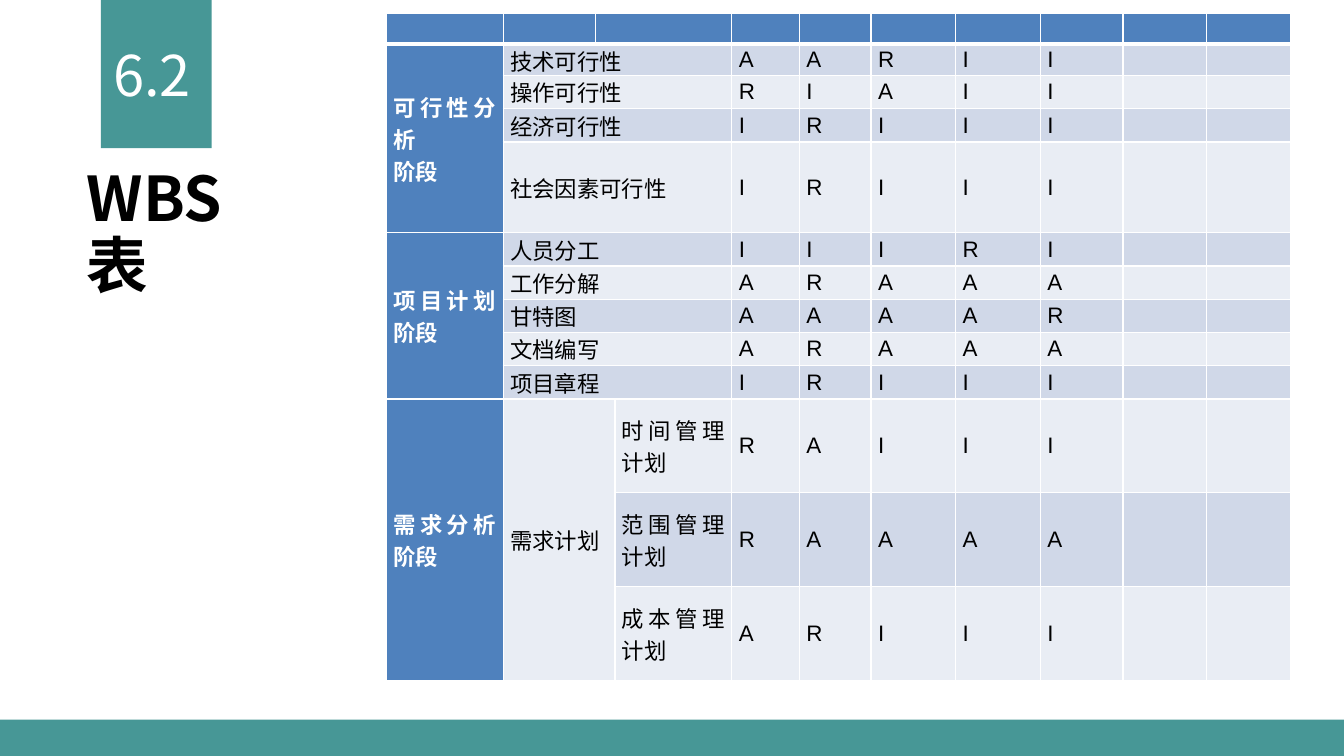
from lxml.etree import SubElement
from pptx import Presentation
from pptx.dml.color import RGBColor
from pptx.enum.shapes import MSO_SHAPE
from pptx.enum.text import MSO_ANCHOR, MSO_AUTO_SIZE, PP_ALIGN
from pptx.oxml.ns import qn
from pptx.util import Inches, Pt

COLORS = {
    "teal": "479796",
    "header": "4F81BD",
    "odd_row": "D0D8E8",
    "even_row": "E9EDF4",
    "white": "FFFFFF",
    "black": "000000",
}
CJK_FONT = "Noto Sans CJK SC"

COLUMN_WIDTHS = [1.16, 0.92, 0.19, 1.16, 0.67, 0.71, 0.84, 0.84, 0.82, 0.83, 0.83]
ROW_HEIGHTS = [0.31, 0.31, 0.33, 0.33, 0.9] + [0.33] * 5 + [0.93] * 3
FIRST_RATING_COLUMN = 4

# Phase, subgroup of its tasks (if any), tasks with the rating of each member
PHASES = [
    (["可行性分析", "阶段"], None, [
        ("技术可行性", "AARII"),
        ("操作可行性", "RIAII"),
        ("经济可行性", "IRIII"),
        ("社会因素可行性", "IRIII"),
    ]),
    (["项目计划阶段"], None, [
        ("人员分工", "IIIRI"),
        ("工作分解", "ARAAA"),
        ("甘特图", "AAAAR"),
        ("文档编写", "ARAAA"),
        ("项目章程", "IRIII"),
    ]),
    (["需求分析阶段"], "需求计划", [
        ("时间管理计划", "RAIII"),
        ("范围管理计划", "RAAAA"),
        ("成本管理计划", "ARIII"),
    ]),
]


def rgb(color):
    return RGBColor.from_string(COLORS[color])


def write_text(frame, lines, size=16, font="Arial", east_asian=CJK_FONT,
               color="black", bold=False, align=PP_ALIGN.JUSTIFY, spacing=None):
    for index, line in enumerate(lines):
        paragraph = frame.paragraphs[0] if index == 0 else frame.add_paragraph()
        paragraph.alignment = align
        if spacing:
            paragraph.line_spacing = spacing
        run = paragraph.add_run()
        run.text = line
        run.font.size = Pt(size)
        run.font.name = font
        run.font.bold = bold
        run.font.color.rgb = rgb(color)
        SubElement(run.font._element, qn("a:ea"), typeface=east_asian)


def add_block(slide, left, top, width, height):
    block = slide.shapes.add_shape(
        MSO_SHAPE.RECTANGLE, Inches(left), Inches(top), Inches(width), Inches(height))
    block.shadow.inherit = False
    block.fill.solid()
    block.fill.fore_color.rgb = rgb("teal")
    block.line.fill.background()


def add_section_number(slide, number):
    box = slide.shapes.add_textbox(Inches(0.96), Inches(0.35), Inches(1.1), Inches(0.77))
    box.text_frame.word_wrap = True
    write_text(box.text_frame, [number], size=40, font="Noto Sans CJK KR",
               east_asian="Noto Sans CJK KR", color="white", align=PP_ALIGN.CENTER)


def format_title(title, text):
    title.left, title.top = Inches(0.76), Inches(1.62)
    title.width, title.height = Inches(1.81), Inches(0.84)
    frame = title.text_frame
    frame.word_wrap = True
    frame.auto_size = MSO_AUTO_SIZE.NONE
    frame.vertical_anchor = MSO_ANCHOR.TOP
    write_text(frame, [text], size=44, font=CJK_FONT, bold=True,
               align=PP_ALIGN.LEFT, spacing=0.9)


def style_cell(cell, color, top=1, bottom=1):
    """Set margins, fill and white borders; top and bottom are widths in points."""
    cell.margin_left = cell.margin_right = Inches(0.07)
    cell.margin_top = cell.margin_bottom = 0
    cell.vertical_anchor = MSO_ANCHOR.MIDDLE
    properties = cell._tc.get_or_add_tcPr()
    for side, width in (("L", 1), ("R", 1), ("T", top), ("B", bottom)):
        line = SubElement(properties, qn(f"a:ln{side}"), w=str(Pt(width)))
        line_fill = SubElement(line, qn("a:solidFill"))
        SubElement(line_fill, qn("a:srgbClr"), val=COLORS["white"])
    cell.fill.solid()
    cell.fill.fore_color.rgb = rgb(color)


def style_grid(table):
    for row in range(len(ROW_HEIGHTS)):
        band = "odd_row" if row % 2 else "even_row"
        for column in range(len(COLUMN_WIDTHS)):
            color = "header" if row == 0 or column == 0 else band
            style_cell(table.cell(row, column), color,
                       top=3 if row == 1 else 1, bottom=3 if row == 0 else 1)


def fill_phase(table, first_row, phase, subgroup, tasks):
    last_row = first_row + len(tasks) - 1
    phase_cell = table.cell(first_row, 0)
    phase_cell.merge(table.cell(last_row, 0))
    write_text(phase_cell.text_frame, phase, color="white", bold=True)
    if subgroup:
        subgroup_cell = table.cell(first_row, 1)
        subgroup_cell.merge(table.cell(last_row, 2))
        write_text(subgroup_cell.text_frame, [subgroup])
    for row, (task, ratings) in enumerate(tasks, first_row):
        task_cell = table.cell(row, 3 if subgroup else 1)
        if not subgroup:
            task_cell.merge(table.cell(row, 3))
        write_text(task_cell.text_frame, [task])
        for column, rating in enumerate(ratings, FIRST_RATING_COLUMN):
            write_text(table.cell(row, column).text_frame, [rating])


def add_wbs_table(slide):
    table = slide.shapes.add_table(
        len(ROW_HEIGHTS), len(COLUMN_WIDTHS), Inches(3.83), Inches(0.13),
        Inches(sum(COLUMN_WIDTHS)), Inches(sum(ROW_HEIGHTS))).table
    table.first_row = table.horz_banding = False
    for column, width in zip(table.columns, COLUMN_WIDTHS):
        column.width = Inches(width)
    for row, height in zip(table.rows, ROW_HEIGHTS):
        row.height = Inches(height)
    style_grid(table)
    table.cell(0, 2).merge(table.cell(0, 3))
    first_row = 1
    for phase, subgroup, tasks in PHASES:
        fill_phase(table, first_row, phase, subgroup, tasks)
        first_row += len(tasks)


def main():
    presentation = Presentation()
    presentation.slide_width, presentation.slide_height = Inches(13.33), Inches(7.5)
    slide = presentation.slides.add_slide(presentation.slide_layouts[5])
    add_block(slide, 1, 0, 1.1, 1.47)
    add_section_number(slide, "6.2")
    format_title(slide.shapes.title, "WBS表")
    add_block(slide, 0, 7.14, 13.33, 0.36)
    add_wbs_table(slide)
    presentation.save("out.pptx")


if __name__ == "__main__":
    main()
